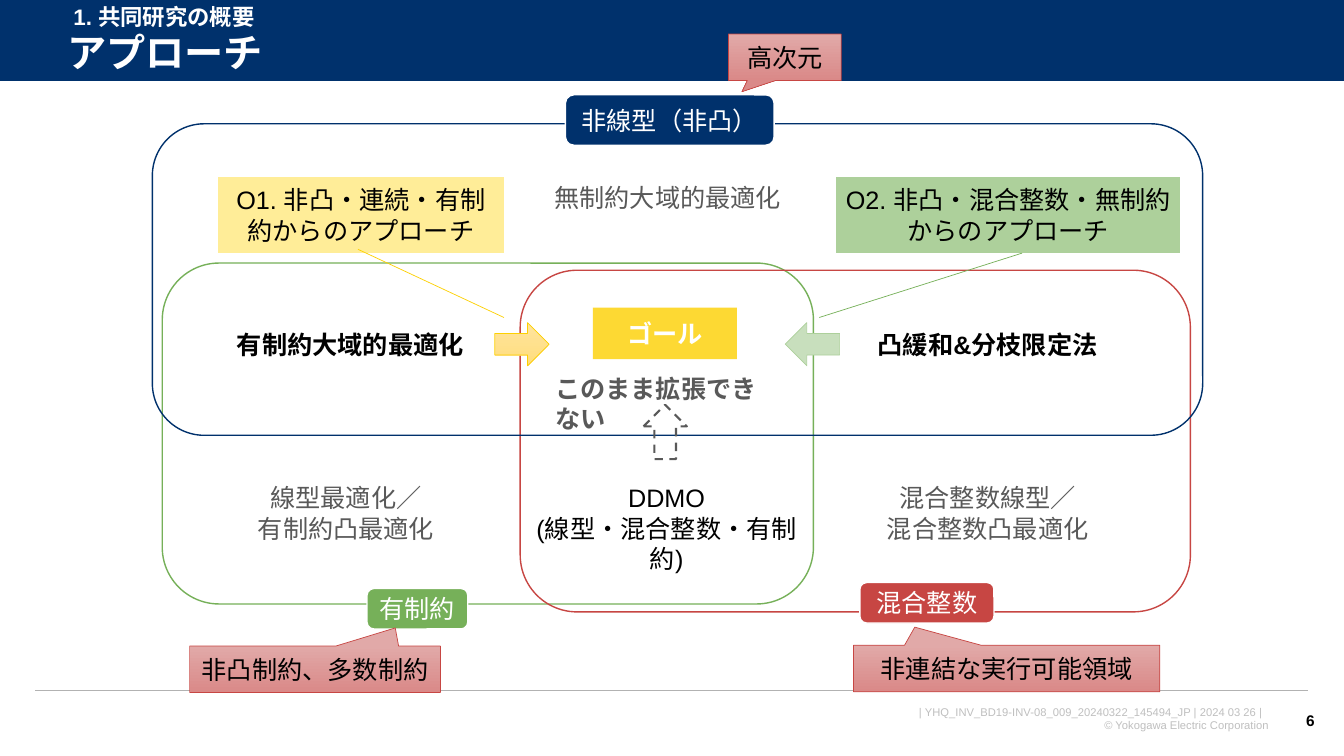
from dataclasses import dataclass
from typing import Optional

from lxml.etree import SubElement
from pptx import Presentation
from pptx.dml.color import RGBColor
from pptx.enum.dml import MSO_LINE_DASH_STYLE as Dash
from pptx.enum.shapes import MSO_CONNECTOR as Conn
from pptx.enum.shapes import MSO_SHAPE as Geo
from pptx.enum.text import MSO_ANCHOR as Anchor
from pptx.enum.text import PP_ALIGN as Align
from pptx.oxml.ns import qn
from pptx.util import Cm, Pt

HEX = {
    "navy": "00316C", "green": "76B059", "red": "C74643", "gold": "FDD000",
    "white": "FFFFFF", "black": "000000", "gray": "595959", "pale": "BFBFBF",
    "rule": "B2B2B2", "cream": "FFED98", "leaf": "ADD09B", "mint": "C8DFBD",
    "rose": "E1A9A8", "coral": "DA8988", "sand": "FFE49E", "amber": "FFDD7C",
}


@dataclass
class Text:
    """Lines of one style inside a box; inset is the side margin in cm."""
    lines: list[str]
    color: str = "black"
    bold: bool = False
    size: float = 18
    align: Align = Align.CENTER
    anchor: Anchor = Anchor.MIDDLE
    space: float = 1
    inset: float = 0.25


@dataclass
class Note:
    """Text box; at is left, top, width, height in cm."""
    at: tuple[float, float, float, float]
    text: Text


@dataclass
class Box:
    """Preset shape; two fill names make a downward gradient."""
    geo: Geo
    at: tuple[float, float, float, float]
    fill: tuple[str, ...] = ()
    line: Optional[str] = None
    width: float = 1
    adj: tuple[float, ...] = ()
    text: Optional[Text] = None
    dash: bool = False
    alpha: Optional[int] = None


def rgb(name: str) -> RGBColor:
    return RGBColor.from_string(HEX[name])


def write(frame, text: Text) -> None:
    frame.word_wrap = True
    frame.vertical_anchor = text.anchor
    frame.margin_left = frame.margin_right = Cm(text.inset)
    for num, line in enumerate(text.lines):
        para = frame.add_paragraph() if num else frame.paragraphs[0]
        para.alignment = text.align
        para.line_spacing = text.space
        run = para.add_run()
        run.text = line
        font = run.font
        font.name, font.size, font.bold = "Arial", Pt(text.size), text.bold
        font.color.rgb = rgb(text.color)
        SubElement(run._r.get_or_add_rPr(), qn("a:ea"), typeface="Arial")


def paint(shape, box: Box) -> None:
    fill = shape.fill
    if not box.fill:
        fill.background()
    elif len(box.fill) == 1:
        fill.solid()
        fill.fore_color.rgb = rgb(box.fill[0])
    else:
        fill.gradient()
        fill.gradient_angle = 270
        for stop, name in zip(fill.gradient_stops, box.fill):
            stop.color.rgb = rgb(name)
    if box.alpha:
        tone = shape.element.spPr.find(qn("a:solidFill"))[0]
        SubElement(tone, qn("a:alpha"), val=str(box.alpha * 1000))


def draw_box(slide, box: Box) -> None:
    shape = slide.shapes.add_shape(box.geo, *map(Cm, box.at))
    shape.shadow.inherit = False
    for num, value in enumerate(box.adj):
        shape.adjustments[num] = value
    paint(shape, box)
    if box.line:
        shape.line.color.rgb = rgb(box.line)
        shape.line.width = Pt(box.width)
    else:
        shape.line.fill.background()
    if box.dash:
        shape.line.dash_style = Dash.DASH
    if box.text:
        write(shape.text_frame, box.text)


def draw_note(slide, note: Note) -> None:
    write(slide.shapes.add_textbox(*map(Cm, note.at)).text_frame, note.text)


def draw_rule(slide, left: float, right: float, top: float,
              color: str, width: float) -> None:
    rule = slide.shapes.add_connector(
        Conn.STRAIGHT, Cm(left), Cm(top), Cm(right), Cm(top))
    rule.line.color.rgb = rgb(color)
    rule.line.width = Pt(width)
    SubElement(rule.element.spPr, qn("a:effectLst"))


def region(at, color: str) -> Box:
    return Box(Geo.ROUNDED_RECTANGLE, at, line=color)


def label(at, color: str, words: str) -> Box:
    return Box(Geo.ROUNDED_RECTANGLE, at, (color,), "white",
               text=Text([words], "white"))


def plan(at, fill: str, line: str, adj, text: Text) -> Box:
    """Approach box with a leader line."""
    return Box(Geo.LINE_CALLOUT_1_NO_BORDER, at, (fill,), line, 0.5, adj, text)


def issue(at, adj, words: str) -> Box:
    """Red speech callout naming a difficulty."""
    return Box(Geo.RECTANGULAR_CALLOUT, at, ("rose", "coral"), "red", 0.5, adj,
               Text([words]))


def topic(at, lines: list[str], color: str = "gray", bold: bool = False,
          align: Align = Align.CENTER) -> Note:
    return Note(at, Text(lines, color, bold, align=align, anchor=Anchor.TOP))


L, R = Align.LEFT, Align.RIGHT
FRAME = [
    Note((20.47, 17.65, 11.76, 0.94), Text(
        ["| YHQ_INV_BD19-INV-08_009_20240322_145494_JP | 2024 03 26 |  ",
         "© Yokogawa Electric Corporation"],
        "pale", size=8, align=R, anchor=Anchor.TOP)),
    Note((32.26, 17.65, 1.12, 1.02), Text(["6"], bold=True, size=11, align=R)),
    Note((1.6, -0.05, 14.63, 0.94), Text(
        ["1. 共同研究の概要"], "white", True, 16, L, Anchor.TOP)),
    Note((1.45, 0.66, 31.67, 1.45), Text(
        ["アプローチ"], "white", True, 28, L, space=0.9)),
]
DIAGRAM = [
    region((4.09, 6.63, 16.41, 8.59), "green"),
    region((13.11, 6.81, 16.89, 8.61), "red"),
    region((3.84, 3.12, 26.47, 7.85), "navy"),
    topic((13.13, 12.04, 7.34, 1.8),
          ["DDMO", "(線型・混合整数・有制約)"], "black"),
    topic((5.72, 8.18, 6.27, 1.02), ["有制約大域的最適化"], "black", True, L),
    label((14.25, 2.39, 5.26, 1.27), "navy", "非線型（非凸）"),
    label((9.25, 14.83, 2.54, 1.02), "green", "有制約"),
    label((21.67, 14.68, 3.38, 1.02), "red", "混合整数"),
    Box(Geo.LEFT_ARROW, (19.79, 8.13, 1.37, 1.09), ("mint",), "leaf", 0.5),
    Box(Geo.RIGHT_ARROW, (12.47, 8.13, 1.37, 1.09),
        ("sand", "amber"), "gold", 0.5),
    plan((5.49, 4.45, 7.21, 1.93), "cream", "gold", (0.95, 0.49, 1.84, 1),
         Text(["O1. 非凸・連続・有制約からのアプローチ"])),
    plan((21.08, 4.45, 8.66, 1.93), "leaf", "green", (1, 0.54, 1.84, -0.05),
         Text(["O2. 非凸・混合整数・無制約", "からのアプローチ"], inset=0.05)),
    Box(Geo.UP_ARROW, (16.22, 10.2, 1.09, 1.37), line="gray", width=1.5,
        dash=True),
    topic((13.74, 9.27, 6.2, 1.02), ["このまま拡張できない"], bold=True, align=L),
    topic((21.87, 8.18, 6.07, 1.02), ["凸緩和&分枝限定法"], "black", True, L),
    topic((6.22, 12.04, 5, 1.8), ["線型最適化／", "有制約凸最適化"]),
    topic((22.07, 12.04, 5.64, 1.8), ["混合整数線型／", "混合整数凸最適化"]),
    topic((13.72, 4.47, 6.27, 1.02), ["無制約大域的最適化"], align=L),
    Box(Geo.RECTANGLE, (14.94, 7.75, 3.63, 1.3), ("gold",), alpha=80,
        text=Text(["ゴール"], "white", True)),
    issue((21.51, 16.26, 7.72, 1.17), (-0.3, -0.89), "非連結な実行可能領域"),
    issue((4.78, 16.28, 6.32, 1.17), (0.32, -0.89), "非凸制約、多数制約"),
    issue((18.36, 0.86, 2.84, 1.17), (-0.38, 0.74), "高次元"),
]


def main() -> None:
    deck = Presentation()
    deck.slide_width, deck.slide_height = Cm(33.87), Cm(19.05)
    slide = deck.slides.add_slide(deck.slide_layouts[6])
    draw_box(slide, Box(Geo.RECTANGLE, (0, 0, 33.87, 2.06), ("navy",)))
    draw_rule(slide, 0, 33.87, 2.06, "white", 0.75)
    draw_rule(slide, 0.89, 32.97, 17.4, "rule", 1)
    for item in FRAME + DIAGRAM:
        if isinstance(item, Box):
            draw_box(slide, item)
        else:
            draw_note(slide, item)
    deck.save("out.pptx")


if __name__ == "__main__":
    main()
